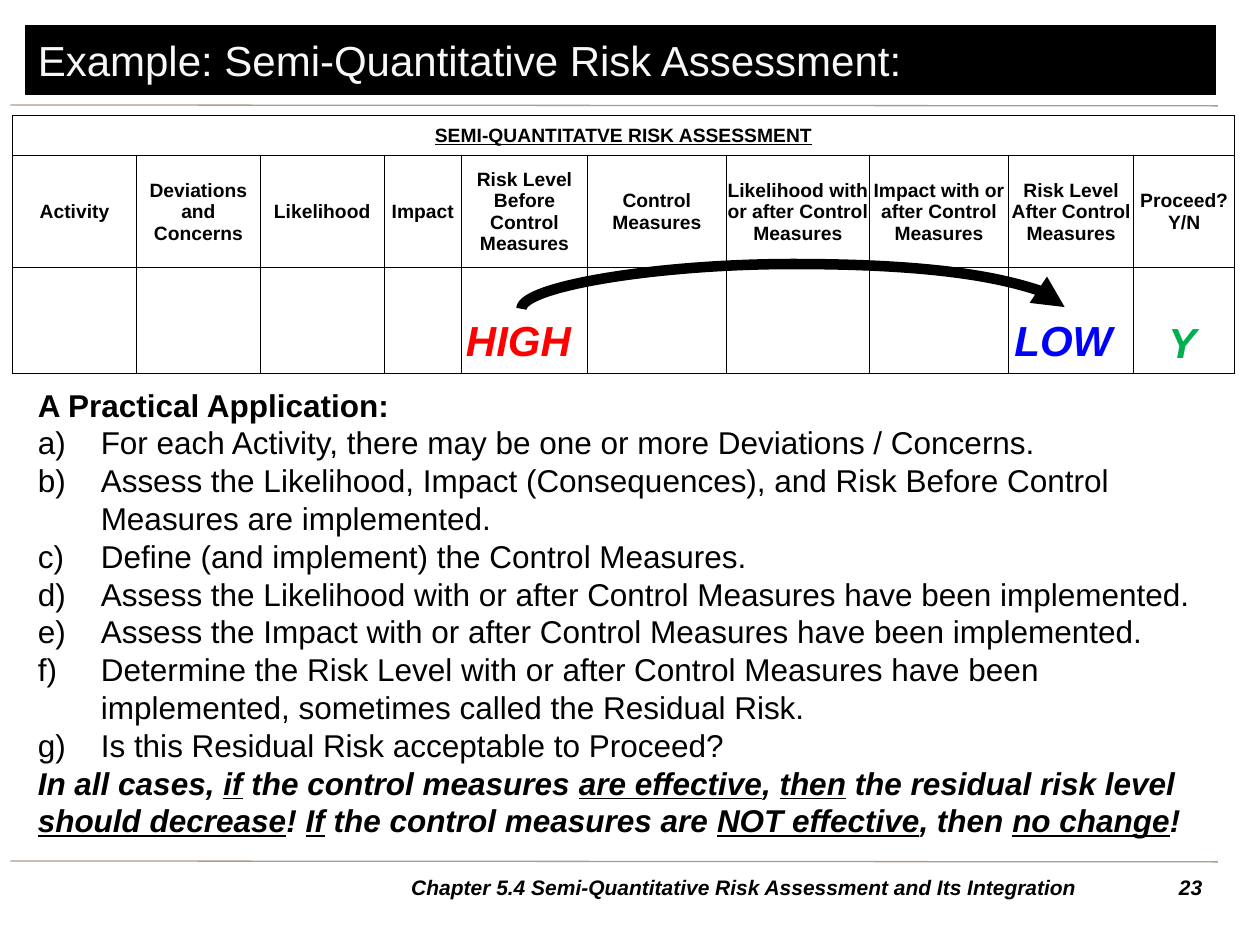
from lxml.etree import SubElement
from pptx import Presentation
from pptx.dml.color import RGBColor
from pptx.enum.shapes import MSO_CONNECTOR
from pptx.enum.text import MSO_ANCHOR, MSO_AUTO_SIZE, PP_ALIGN
from pptx.oxml.ns import qn
from pptx.util import Pt

BLACK, WHITE = "000000", "FFFFFF"


def color(value):
    return RGBColor.from_string(value)


class SlideBuilder:
    """Holds the style and the current slide; lengths are in points."""
    font = "Arial"

    def __init__(self, s):
        self.s = s

    def run(self, p, text, size, ink=BLACK, bold=False, italic=False, underline=False):
        r = p.add_run()
        r.text = text
        f = r.font
        f.name, f.size, f.color.rgb = self.font, Pt(size), color(ink)
        f.bold, f.italic, f.underline = bold, italic, underline

    def place(self, sp, x, y, w, h):
        sp.left, sp.top, sp.width, sp.height = Pt(x), Pt(y), Pt(w), Pt(h)

    def title(self, text, *box):
        sp = self.s.shapes.title
        self.place(sp, *box)
        sp.fill.solid()
        sp.fill.fore_color.rgb = color(BLACK)
        sp.line.color.rgb = color(BLACK)
        sp.line.width = Pt(0.75)
        tf = sp.text_frame
        tf.auto_size, tf.vertical_anchor = MSO_AUTO_SIZE.NONE, MSO_ANCHOR.MIDDLE
        p = tf.paragraphs[0]
        p.alignment = PP_ALIGN.LEFT
        self.run(p, text, 24, "F8F8F8")

    def body(self, heading, steps, closing, *box):
        sp = self.s.placeholders[1]
        self.place(sp, *box)
        tf = sp.text_frame
        tf.auto_size, tf.vertical_anchor = MSO_AUTO_SIZE.NONE, MSO_ANCHOR.TOP
        self.run(self.body_paragraph(tf.paragraphs[0]), heading, 18, bold=True)
        for step in steps:
            self.run(self.body_paragraph(tf.add_paragraph(), True), step, 18)
        p = self.body_paragraph(tf.add_paragraph())
        # Pieces between underscores are underlined
        for i, piece in enumerate(closing.split("_")):
            self.run(p, piece, 18, bold=True, italic=True, underline=i % 2 == 1)

    def body_paragraph(self, p, lettered=False):
        p.space_before, p.line_spacing = Pt(0), Pt(21.6)
        p.alignment = PP_ALIGN.LEFT
        pPr = p._p.get_or_add_pPr()
        indent = Pt(36) if lettered else 0
        pPr.set("marL", str(indent))
        pPr.set("indent", str(-indent))
        if lettered:
            SubElement(pPr, qn("a:buFont"), typeface="+mj-lt")
            SubElement(pPr, qn("a:buAutoNum"), type="alphaLcParenR")
        else:
            SubElement(pPr, qn("a:buNone"))
        return p

    def label(self, text, size, align, *box, ink=BLACK, wrap=True):
        tf = self.s.shapes.add_textbox(*map(Pt, box)).text_frame
        tf.word_wrap = wrap
        p = tf.paragraphs[0]
        p.alignment = align
        self.run(p, text, size, ink, bold=True, italic=True)

    def connector(self, kind, x1, y1, x2, y2, ink, width):
        cx = self.s.shapes.add_connector(kind, Pt(x1), Pt(y1), Pt(x2), Pt(y2))
        cx.line.color.rgb = color(ink)
        cx.line.width = Pt(width)
        SubElement(cx._element.spPr, qn("a:effectLst"))
        return cx

    def arc_arrow(self, x1, x2, y, rise):
        """Curved arrow from x1 to x2: a 1 pt wide connector turned by 90 degrees."""
        mid, half = (x1 + x2) / 2, (x2 - x1) / 2
        cx = self.connector(MSO_CONNECTOR.CURVE, mid + 0.5, y + half,
                            mid - 0.5, y - half, BLACK, 6)
        spPr = cx._element.spPr
        spPr.find(qn("a:xfrm")).set("rot", str(90 * 60000))
        geom = spPr.find(qn("a:prstGeom"))
        guides = geom.find(qn("a:avLst"))
        if guides is None:
            guides = SubElement(geom, qn("a:avLst"))
        SubElement(guides, qn("a:gd"), name="adj1", fmla=f"val {round(rise * 100000)}")
        SubElement(spPr.find(qn("a:ln")), qn("a:tailEnd"), type="triangle")

    def table(self, heading, headers, x, y, widths, heights):
        frame = self.s.shapes.add_table(len(heights), len(widths), Pt(x), Pt(y),
                                        Pt(sum(widths)), Pt(sum(heights)))
        tbl = frame.table
        for column, w in zip(tbl.columns, widths):
            column.width = Pt(w)
        for row, h in zip(tbl.rows, heights):
            row.height = Pt(h)
        for cell in tbl.iter_cells():
            self.style_cell(cell)
        tbl.cell(0, 0).merge(tbl.cell(0, len(widths) - 1))
        self.cell_text(tbl.cell(0, 0), heading, underline=True)
        for i, text in enumerate(headers):
            self.cell_text(tbl.cell(1, i), text)

    def style_cell(self, cell):
        cell.vertical_anchor = MSO_ANCHOR.MIDDLE
        cell.margin_left = cell.margin_right = cell.margin_top = Pt(0.75)
        cell.margin_bottom = 0
        tcPr = cell._tc.get_or_add_tcPr()
        for side in ("lnL", "lnR", "lnT", "lnB"):
            ln = SubElement(tcPr, qn(f"a:{side}"), w=str(Pt(0.5)))
            SubElement(SubElement(ln, qn("a:solidFill")), qn("a:srgbClr"), val=BLACK)
        cell.fill.solid()
        cell.fill.fore_color.rgb = color(WHITE)

    def cell_text(self, cell, text, underline=False):
        p = cell.text_frame.paragraphs[0]
        p.alignment = PP_ALIGN.CENTER
        self.run(p, text, 11, bold=True, underline=underline)


def main():
    prs = Presentation()
    prs.slide_width, prs.slide_height = Pt(720), Pt(540)
    slide = SlideBuilder(prs.slides.add_slide(prs.slide_layouts[1]))

    # Rules above and below the content
    for y in (60, 492):
        slide.connector(MSO_CONNECTOR.STRAIGHT, 6, y, 696, y + 0.5, "AA9C8F", 0.75)

    # Title and explanation
    slide.title("Example: Semi-Quantitative Risk Assessment:", 14.4, 14.4, 680.4, 39.6)
    slide.body(
        "A Practical Application:",
        ["For each Activity, there may be one or more Deviations / Concerns.",
         "Assess the Likelihood, Impact (Consequences), and Risk Before Control "
         "Measures are implemented.",
         "Define (and implement) the Control Measures.",
         "Assess the Likelihood with or after Control Measures have been implemented.",
         "Assess the Impact with or after Control Measures have been implemented.",
         "Determine the Risk Level with or after Control Measures have been "
         "implemented, sometimes called the Residual Risk.",
         "Is this Residual Risk acceptable to Proceed?"],
        "In all cases, _if_ the control measures _are effective_, _then_ the residual "
        "risk level _should decrease_! _If_ the control measures are _NOT effective_, "
        "then _no change_!",
        14.4, 216.7, 680.4, 268.5)

    # Risk assessment table
    slide.table(
        "SEMI-QUANTITATVE RISK ASSESSMENT",
        ["Activity", "Deviations and Concerns", "Likelihood", "Impact",
         "Risk Level Before Control Measures", "Control Measures",
         "Likelihood with or after Control Measures",
         "Impact with or after Control Measures",
         "Risk Level After Control Measures", "Proceed? Y/N"],
        7.2, 66.2, [70.8, 70.8, 70.8, 44.2, 72, 79.2, 82, 79.4, 71.6, 57.6],
        [22.5, 64.2, 60.5])

    # Risk levels and the change between them
    slide.label("HIGH", 24, PP_ALIGN.LEFT, 259.2, 176.4, 76.3, 36.4, ink="FF0000")
    slide.label("LOW", 24, PP_ALIGN.CENTER, 569.5, 176.4, 76.3, 36.4, ink="0000FF")
    slide.label("Y", 24, PP_ALIGN.CENTER, 660.2, 177.1, 31, 36.4, ink="00B050", wrap=False)
    slide.arc_arrow(298, 608.4, 176, 25.8)

    # Footer
    slide.label("Chapter 5.4 Semi-Quantitative Risk Assessment and Its Integration",
                12, PP_ALIGN.CENTER, 212.4, 496.1, 425.5, 22.3)
    slide.label("23", 12, PP_ALIGN.RIGHT, 652.3, 496.1, 41.8, 22.3)

    prs.save("out.pptx")


if __name__ == "__main__":
    main()
